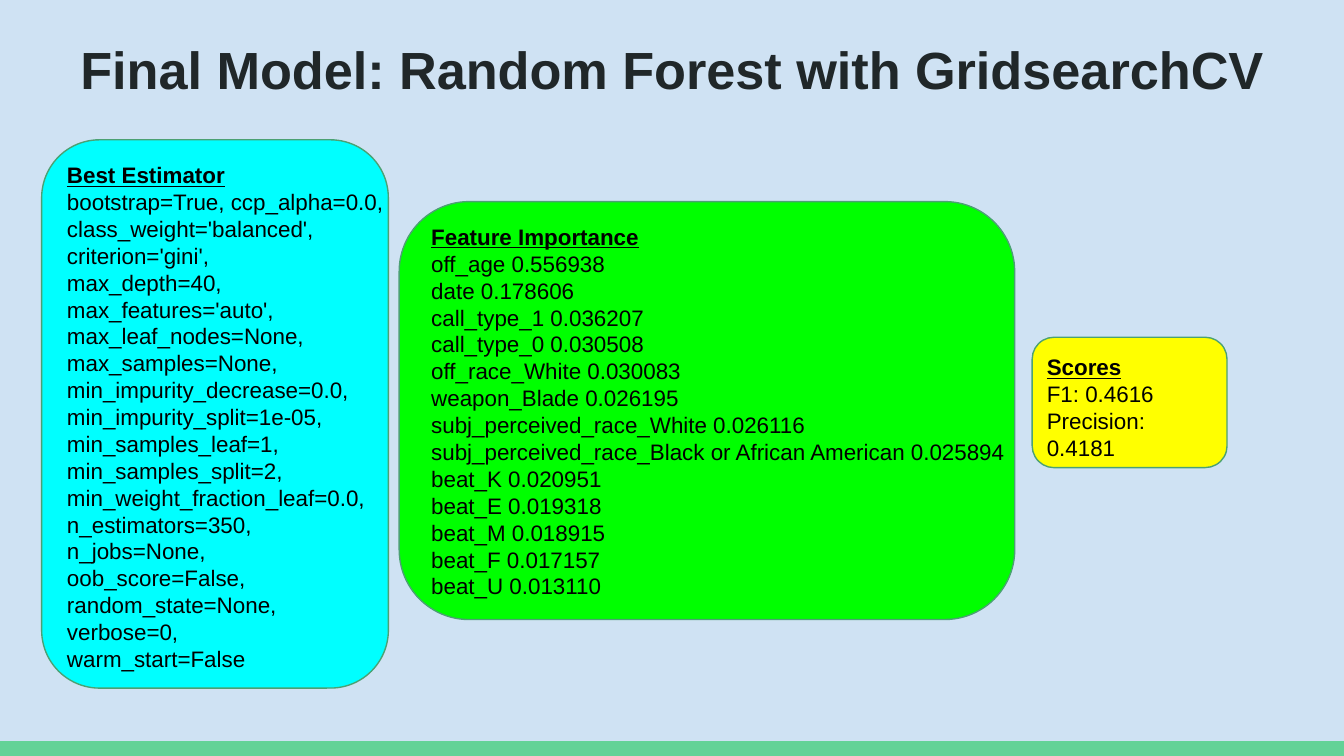
from pptx import Presentation
from pptx.dml.color import RGBColor
from pptx.enum.shapes import MSO_SHAPE
from pptx.util import Inches, Pt

BACKGROUND = RGBColor(0xCF, 0xE2, 0xF3)
FOOTER = RGBColor(0x63, 0xD2, 0x97)
OUTLINE = RGBColor(0x4B, 0xA1, 0x73)
INK = RGBColor(0x20, 0x27, 0x29)
BLACK = RGBColor(0x00, 0x00, 0x00)
CYAN = RGBColor(0x00, 0xFF, 0xFF)
YELLOW = RGBColor(0xFF, 0xFF, 0x00)
GREEN = RGBColor(0x00, 0xFF, 0x00)

WIDTH = 10
HEIGHT = WIDTH * 9 / 16

ESTIMATOR = """Best Estimator
bootstrap=True, ccp_alpha=0.0,
class_weight='balanced',
criterion='gini',
max_depth=40,
max_features='auto',
max_leaf_nodes=None,
max_samples=None,
min_impurity_decrease=0.0,
min_impurity_split=1e-05,
min_samples_leaf=1,
min_samples_split=2,
min_weight_fraction_leaf=0.0,
n_estimators=350,
n_jobs=None,
oob_score=False,
random_state=None,
verbose=0,
warm_start=False"""

SCORES = """Scores
F1: 0.4616
Precision: 0.4181"""

FEATURES = """Feature Importance
off_age 0.556938
date 0.178606
call_type_1 0.036207
call_type_0 0.030508
off_race_White 0.030083
weapon_Blade 0.026195
subj_perceived_race_White 0.026116
subj_perceived_race_Black or African American 0.025894
beat_K 0.020951
beat_E 0.019318
beat_M 0.018915
beat_F 0.017157
beat_U 0.013110"""


def add_block(shapes, box, text, size, color):
    """Add a wrapped text box with even insets and return its paragraphs."""
    tf = shapes.add_textbox(*map(Inches, box)).text_frame
    tf.word_wrap = True
    tf.margin_left = tf.margin_right = Inches(0.1)
    tf.margin_top = tf.margin_bottom = Inches(0.1)
    tf.text = text
    for p in tf.paragraphs:
        for r in p.runs:
            r.font.name = "Arial"
            r.font.size = Pt(size)
            r.font.color.rgb = color
    return tf.paragraphs


def add_shape(shapes, kind, box, fill):
    """Add a flat filled shape without outline."""
    sp = shapes.add_shape(kind, *map(Inches, box))
    sp.shadow.inherit = False
    sp.fill.solid()
    sp.fill.fore_color.rgb = fill
    sp.line.fill.background()
    return sp


def add_title(slide, box, text):
    """Place the bold slide heading."""
    p = add_block(slide.shapes, box, text, 28, INK)[0]
    p.runs[0].font.bold = True


def add_panel(slide, box, fill, text, offset, text_size):
    """Group a rounded card with its headed list, offset from the card's corner."""
    shapes = slide.shapes.add_group_shape().shapes
    sp = add_shape(shapes, MSO_SHAPE.ROUNDED_RECTANGLE, box, fill)
    sp.adjustments[0] = 0.167
    sp.line.color.rgb = OUTLINE
    sp.line.width = Pt(0.75)
    left, top = box[0] + offset[0], box[1] + offset[1]
    paragraphs = add_block(shapes, (left, top, *text_size), text, 12, BLACK)
    for p in paragraphs:
        p.line_spacing = Pt(14.4)
    font = paragraphs[0].runs[0].font
    font.bold = font.underline = True


def add_footer(slide, height):
    """Draw the band along the bottom edge."""
    box = (0, HEIGHT - height, WIDTH, height)
    add_shape(slide.shapes, MSO_SHAPE.RECTANGLE, box, FOOTER)


def main():
    """Build and save the slide."""
    prs = Presentation()
    prs.slide_width, prs.slide_height = Inches(WIDTH), Inches(HEIGHT)
    slide = prs.slides.add_slide(prs.slide_layouts[6])
    slide.background.fill.solid()
    slide.background.fill.fore_color.rgb = BACKGROUND
    add_footer(slide, 0.11)
    add_title(slide, (0.5, 0.18, 9.34, 0.63), "Final Model: Random Forest with GridsearchCV")
    add_panel(slide, (0.31, 1.04, 2.58, 4.08), CYAN, ESTIMATOR, (0.09, 0.06), (2.72, 3.79))
    add_panel(slide, (7.68, 2.51, 1.45, 0.97), YELLOW, SCORES, (0.01, 0.02), (1.45, 0.94))
    add_panel(slide, (2.97, 1.5, 4.58, 3.11), GREEN, FEATURES, (0.14, 0.06), (4.58, 3.79))
    prs.save("out.pptx")


if __name__ == "__main__":
    main()
